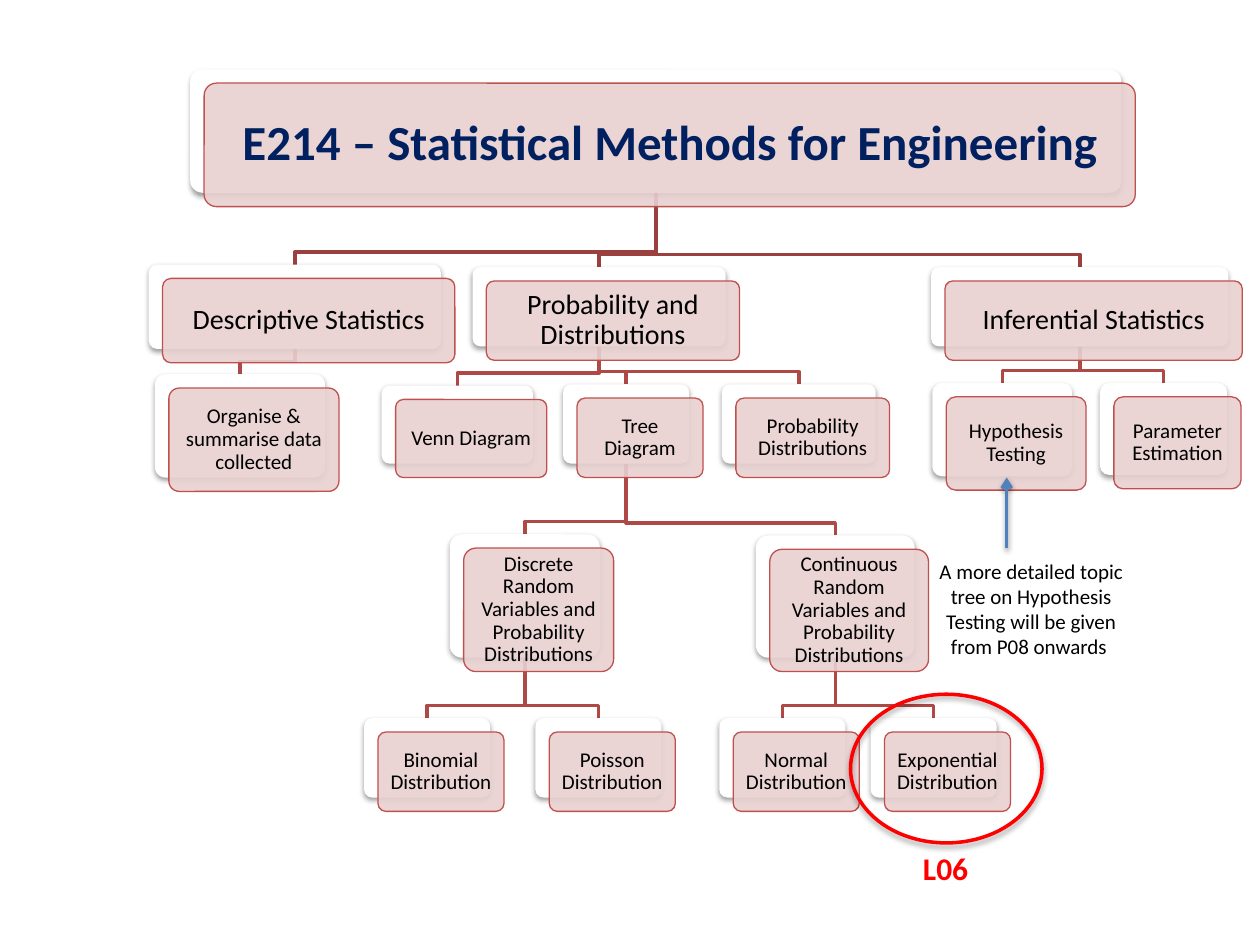
"""Build the topic tree slide for E214 Statistical Methods for Engineering."""
from dataclasses import dataclass

from lxml import etree
from pptx import Presentation
from pptx.dml.color import RGBColor
from pptx.enum.shapes import MSO_CONNECTOR, MSO_SHAPE
from pptx.enum.text import MSO_ANCHOR, MSO_AUTO_SIZE, PP_ALIGN
from pptx.oxml.ns import qn
from pptx.util import Inches, Pt

ROUNDED, ELLIPSE = MSO_SHAPE.ROUNDED_RECTANGLE, MSO_SHAPE.OVAL
STRAIGHT = MSO_CONNECTOR.STRAIGHT
MIDDLE, CENTER = MSO_ANCHOR.MIDDLE, PP_ALIGN.CENTER
GROW = MSO_AUTO_SIZE.SHAPE_TO_FIT_TEXT


@dataclass(frozen=True)
class Theme:
    font: str = "Calibri"
    white: RGBColor = RGBColor(255, 255, 255)
    black: RGBColor = RGBColor(0, 0, 0)
    navy: RGBColor = RGBColor.from_string("002060")
    red: RGBColor = RGBColor(255, 0, 0)
    blue: RGBColor = RGBColor.from_string("4F81BD")
    card: RGBColor = RGBColor.from_string("E8D0D0")
    border: RGBColor = RGBColor.from_string("C0504D")
    trunk: RGBColor = RGBColor.from_string("9A403E")
    branch: RGBColor = RGBColor.from_string("AE4946")
    title: int = 28
    label: int = 18
    topic: int = 16
    body: int = 12


THEME = Theme()


def add_shadow(shape, opacity=38000, distance=20000):
    properties = shape._element.spPr
    effects = properties.find(qn("a:effectLst"))
    if effects is None:
        effects = etree.SubElement(properties, qn("a:effectLst"))
    shadow = etree.SubElement(effects, qn("a:outerShdw"), blurRad="40000",
                              dist=str(distance), dir="5400000", rotWithShape="0")
    color = etree.SubElement(shadow, qn("a:srgbClr"), val=str(THEME.black))
    etree.SubElement(color, qn("a:alpha"), val=str(opacity))


def write_text(box, text, size, color, bold=False):
    box.text_frame.word_wrap = True
    para = box.text_frame.paragraphs[0]
    para.text = text
    para.alignment = CENTER
    para.font.name = THEME.font
    para.font.size = Pt(size)
    para.font.color.rgb = color
    para.font.bold = bold
    return para


ROOT = "E214 – Statistical Methods for Engineering"
DESCRIPTIVE = "Descriptive Statistics"
PROBABILITY = "Probability and Distributions"
INFERENTIAL = "Inferential Statistics"
TREE = "Tree Diagram"
DISCRETE = "Discrete Random Variables and Probability Distributions"
CONTINUOUS = "Continuous Random Variables and Probability Distributions"

TOPICS = {
    ROOT: (None, 1.51, 0.55, 7.39, 0.98),
    PROBABILITY: (ROOT, 3.75, 2.12, 2.01, 0.63),
    "Venn Diagram": (PROBABILITY, 3.03, 3.06, 1.2, 0.62),
    "Probability Distributions": (PROBABILITY, 5.73, 3.05, 1.22, 0.63),
    TREE: (PROBABILITY, 4.47, 3.05, 1, 0.63),
    DISCRETE: (TREE, 3.57, 4.24, 1.19, 0.98),
    "Poisson Distribution": (DISCRETE, 4.25, 5.7, 1, 0.63),
    "Binomial Distribution": (DISCRETE, 2.89, 5.7, 1, 0.63),
    CONTINUOUS: (TREE, 6, 4.25, 1.26, 0.97),
    "Normal Distribution": (CONTINUOUS, 5.71, 5.7, 1, 0.63),
    "Exponential Distribution": (CONTINUOUS, 6.91, 5.7, 1, 0.63),
    DESCRIPTIVE: (ROOT, 1.18, 2.1, 2.32, 0.67),
    "Organise & summarise data collected": (DESCRIPTIVE, 1.23, 2.97, 1.35, 0.82),
    INFERENTIAL: (ROOT, 7.39, 2.12, 2.36, 0.63),
    "Hypothesis Testing": (INFERENTIAL, 7.4, 3.04, 1.11, 0.74),
    "Parameter Estimation": (INFERENTIAL, 8.73, 3.04, 1.01, 0.73),
}
OFFSET = 0.11
BEND = 0.1

deck = Presentation()
deck.slide_width, deck.slide_height = Inches(10), Inches(7.5)
page = deck.slides.add_slide(deck.slide_layouts[6])
shapes = page.shapes

for parent, left, top, width, height in reversed(TOPICS.values()):
    if parent is None:
        continue
    _, parent_left, parent_top, parent_width, parent_height = TOPICS[parent]
    start_x = Inches(parent_left + parent_width / 2)
    start_y = Inches(parent_top + parent_height)
    end_x, bend_y = Inches(left + width / 2), Inches(top - BEND)
    builder = shapes.build_freeform(start_x, start_y)
    builder.add_line_segments(
        [(start_x, bend_y), (end_x, bend_y), (end_x, Inches(top))], close=False)
    elbow = builder.convert_to_shape()
    elbow.shadow.inherit = False
    elbow.fill.background()
    elbow.line.color.rgb = THEME.trunk if parent == ROOT else THEME.branch
    elbow.line.width = Pt(2)

for name, (parent, left, top, width, height) in TOPICS.items():
    if parent is None:
        size, color, inset = THEME.title, THEME.navy, 0.12
    elif parent == ROOT:
        size, color, inset = THEME.topic, THEME.black, 0.07
    else:
        size, color, inset = THEME.body, THEME.black, 0.05

    back, front = [
        shapes.add_shape(ROUNDED, Inches(left + shift), Inches(top + shift),
                         Inches(width), Inches(height))
        for shift in (0, OFFSET)]
    for card, fill in ((back, THEME.white), (front, THEME.card)):
        card.adjustments[0] = 0.1
        card.shadow.inherit = False
        card.fill.solid()
        card.fill.fore_color.rgb = fill
    back.line.fill.background()
    add_shadow(back)
    front.line.color.rgb = THEME.border
    front.line.width = Pt(0.75)
    tint = front._element.spPr.find(qn("a:solidFill")).find(qn("a:srgbClr"))
    etree.SubElement(tint, qn("a:alpha"), val="90000")

    frame = front.text_frame
    frame.vertical_anchor = MIDDLE
    frame.margin_left = frame.margin_right = Inches(inset)
    frame.margin_top = frame.margin_bottom = Inches(inset)
    para = write_text(front, name, size, color, bold=parent is None)
    para.line_spacing = 0.9

note = shapes.add_textbox(Inches(7.3), Inches(4.38), Inches(1.77), Inches(0.91))
write_text(note, "A more detailed topic tree on Hypothesis Testing "
           "will be given from P08 onwards ", THEME.body, THEME.black)
note.text_frame.auto_size = GROW

arrow = shapes.add_connector(STRAIGHT, Inches(7.99), Inches(4.35),
                             Inches(7.99), Inches(3.79))
arrow.line.color.rgb = THEME.blue
arrow.line.width = Pt(2)
etree.SubElement(arrow.line._get_or_add_ln(), qn("a:tailEnd"), type="arrow")
add_shadow(arrow)

ring = shapes.add_shape(ELLIPSE, Inches(6.75), Inches(5.51),
                        Inches(1.52), Inches(1.18))
ring.shadow.inherit = False
ring.fill.background()
ring.line.color.rgb = THEME.red
ring.line.width = Pt(2)
add_shadow(ring, opacity=35000, distance=23000)

lesson = shapes.add_textbox(Inches(7.17), Inches(6.69), Inches(0.67), Inches(0.4))
write_text(lesson, "L06", THEME.label, THEME.red, bold=True)
lesson.text_frame.auto_size = GROW

deck.save("out.pptx")
